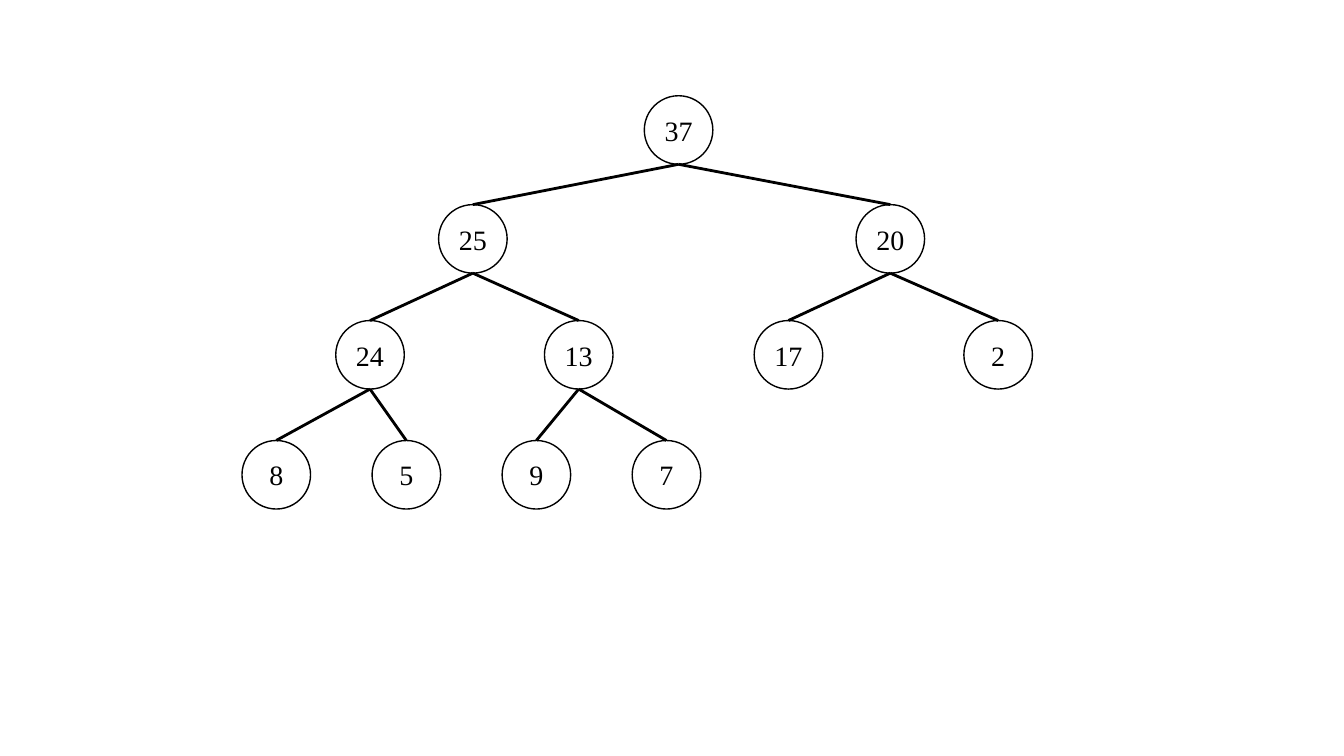
"""Build a slide that shows a max-heap as a binary tree."""
from dataclasses import dataclass
from lxml.etree import SubElement
from pptx import Presentation
from pptx.dml.color import RGBColor as RGB
from pptx.enum.shapes import MSO_CONNECTOR as LINK, MSO_SHAPE as SHAPE
from pptx.enum.text import MSO_ANCHOR as ANCHOR, PP_ALIGN as ALIGN
from pptx.oxml.ns import qn
from pptx.util import Inches, Pt


@dataclass
class Theme:
    ink: RGB = RGB(0, 0, 0)
    font: str = "Times New Roman"
    size: Pt = Pt(20)
    rim: Pt = Pt(1)
    edge: Pt = Pt(2)


theme = Theme()
side = 0.68
levels = [
    (0.95, [(37, 6.39)]),
    (2.03, [(25, 4.35), (20, 8.49)]),
    (3.18, [(24, 3.33), (13, 5.4), (17, 7.48), (2, 9.56)]),
    (4.37, [(key, 2.4 + 1.29 * i) for i, key in enumerate([8, 5, 9, 7])]),
]

deck = Presentation()
deck.slide_width, deck.slide_height = Inches(13.33), Inches(7.5)
slide = deck.slides.add_slide(deck.slide_layouts[6])

nodes = []
for top, row in levels:
    for key, left in row:
        node = slide.shapes.add_shape(
            SHAPE.OVAL, Inches(left), Inches(top), Inches(side), Inches(side))
        node.name = f"Node {key}"
        node.shadow.inherit = False
        node.fill.background()
        node.line.color.rgb = theme.ink
        node.line.width = theme.rim
        frame = node.text_frame
        frame.margin_left = frame.margin_right = 0
        frame.margin_top = frame.margin_bottom = 0
        frame.word_wrap = False
        frame.vertical_anchor = ANCHOR.MIDDLE
        para = frame.paragraphs[0]
        para.text = str(key)
        para.alignment = ALIGN.CENTER
        para.font.name = theme.font
        para.font.size = theme.size
        para.font.color.rgb = theme.ink
        nodes.append(node)

for i, child in enumerate(nodes[1:], 1):
    head = nodes[(i - 1) // 2]
    edge = slide.shapes.add_connector(
        LINK.STRAIGHT, head.left + head.width // 2, head.top + head.height,
        child.left + child.width // 2, child.top)
    edge.end_connect(child, 0)
    edge.line.color.rgb = theme.ink
    edge.line.width = theme.edge
    SubElement(edge._element.spPr, qn("a:effectLst"))

deck.save("out.pptx")
